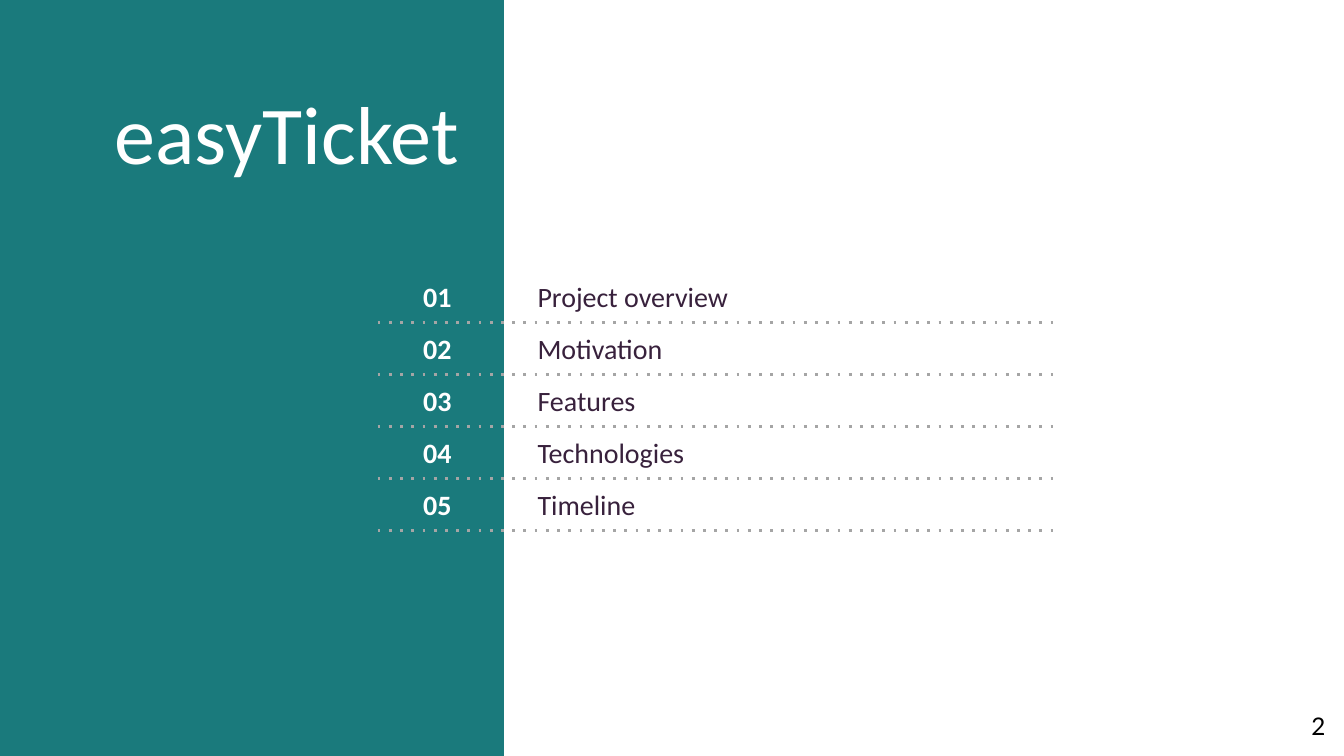
from lxml.etree import SubElement
from pptx import Presentation
from pptx.dml.color import RGBColor
from pptx.enum.shapes import MSO_CONNECTOR, MSO_SHAPE
from pptx.enum.text import MSO_ANCHOR, MSO_AUTO_SIZE, PP_ALIGN
from pptx.oxml.ns import qn
from pptx.util import Inches, Pt


def rgb(value):
    return RGBColor.from_string(value)


def write(sp, text, size=15, color="38213C", font="Calibri", bold=False,
          align=PP_ALIGN.LEFT, anchor=MSO_ANCHOR.MIDDLE,
          margins=(0.07, 0.04, 0.07, 0.04)):
    tf = sp.text_frame
    tf.word_wrap = True
    tf.auto_size = MSO_AUTO_SIZE.NONE
    tf.vertical_anchor = anchor
    (tf.margin_left, tf.margin_top,
     tf.margin_right, tf.margin_bottom) = [Inches(m) for m in margins]
    p = tf.paragraphs[0]
    p.alignment = align
    r = p.add_run()
    r.text = text
    r.font.name = font
    r.font.size = Pt(size)
    r.font.bold = bold
    r.font.color.rgb = rgb(color)


prs = Presentation()
prs.slide_width = Inches(10)
prs.slide_height = Inches(10 * 9 / 16)
s = prs.slides.add_slide(prs.slide_layouts[5])

panel = s.shapes.add_shape(MSO_SHAPE.RECTANGLE, 0, 0, Inches(3.75), prs.slide_height)
panel.shadow.inherit = False
panel.fill.solid()
panel.fill.fore_color.rgb = rgb("1A7A7C")
panel.line.fill.background()
s.shapes._spTree.insert(2, panel._element)

title = s.shapes.title
title.left, title.top = Inches(0.52), Inches(0.61)
title.width, title.height = Inches(3.23), Inches(0.74)
write(title, "easyTicket", size=44, color="FFFFFF", align=PP_ALIGN.CENTER,
      anchor=MSO_ANCHOR.TOP, margins=(0, 0, 0, 0))

topics = ["Project overview", "Motivation", "Features", "Technologies", "Timeline"]
pitch = 1.55 / (len(topics) - 1)

for i, topic in enumerate(topics):
    top = 2.01 + i * pitch
    number = s.shapes.add_textbox(Inches(2.33), Inches(top + 0.03), Inches(1.1), Inches(0.33))
    write(number, f"{i + 1:02}", color="FFFFFF", bold=True, align=PP_ALIGN.RIGHT)

    label = s.shapes.add_textbox(Inches(4), Inches(top), Inches(5.67), Inches(0.39))
    write(label, topic, margins=(0, 0.04, 0.07, 0.04))

    y = Inches(top + 0.39)
    rule = s.shapes.add_connector(MSO_CONNECTOR.STRAIGHT, Inches(2.81), y, Inches(7.89), y)
    rule.line.color.rgb = rgb("A5A5A5")
    rule.line.width = Pt(1.5)
    SubElement(rule.line._get_or_add_ln(), qn("a:prstDash")).set("val", "dot")
    SubElement(rule._element.spPr, qn("a:effectLst"))

page = s.shapes.add_textbox(Inches(9.36), Inches(5.19), Inches(0.6), Inches(0.43))
write(page, "2", size=13, color="000000", font="Lato", align=PP_ALIGN.RIGHT,
      anchor=MSO_ANCHOR.TOP, margins=(0.1, 0.1, 0.1, 0.1))

prs.save("out.pptx")
